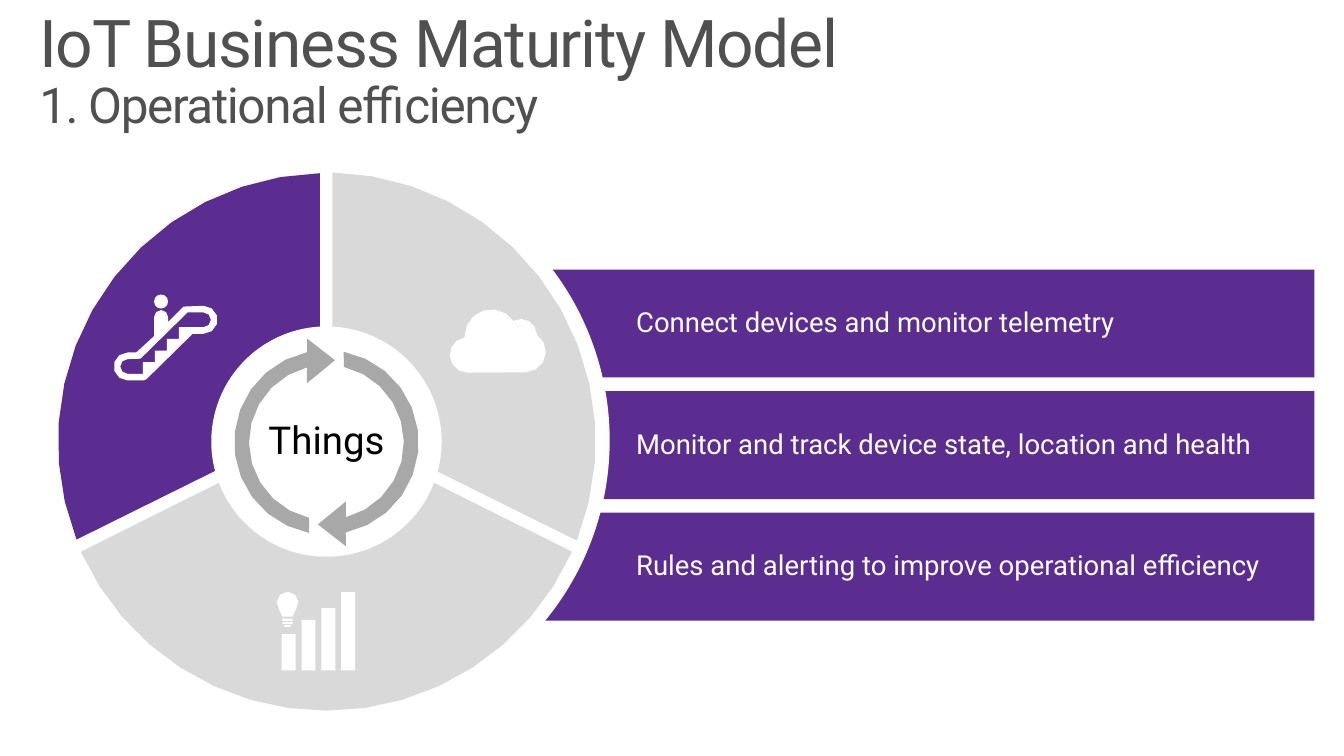
import math

import pptx
import pptx.dml.color
import pptx.enum.shapes
import pptx.enum.text
import pptx.util

Cm = pptx.util.Cm
SHAPE = pptx.enum.shapes.MSO_SHAPE
ANCHOR = pptx.enum.text.MSO_ANCHOR
ALIGN = pptx.enum.text.PP_ALIGN

COLORS = {
    "white": "FFFFFF",
    "black": "000000",
    "title": "505050",
    "purple": "5C2D91",
    "segment": "D9D9D9",
    "arrow": "A8A8A8",
}
FONT = "Roboto"
BENEFITS = [
    "Connect devices and monitor telemetry",
    "Monitor and track device state, location and health",
    "Rules and alerting to improve operational efficiency",
]


def rgb(name):
    return pptx.dml.color.RGBColor.from_string(COLORS[name])


def write(shape, *lines, color="black", align=ALIGN.LEFT, anchor=ANCHOR.MIDDLE,
          insets=(0.25, 0.13, 0.25, 0.13), tracking=0):
    """Fill a shape with (text, size) lines held in one paragraph."""
    frame = shape.text_frame
    frame.word_wrap = True
    frame.vertical_anchor = anchor
    frame.margin_left, frame.margin_top, frame.margin_right, frame.margin_bottom = map(Cm, insets)
    para = frame.paragraphs[0]
    para.alignment = align
    para.line_spacing = 0.9
    for number, (text, size) in enumerate(lines):
        if number:
            para.add_line_break()
        span = para.add_run()
        span.text = text
        span.font.name = FONT
        span.font.size = pptx.util.Pt(size)
        span.font.color.rgb = rgb(color)
        if tracking:
            span._r.get_or_add_rPr().set("spc", str(tracking))


def paint(shape, color, outlined=False):
    shape.shadow.inherit = False
    shape.fill.solid()
    shape.fill.fore_color.rgb = rgb(color)
    if outlined:
        shape.line.color.rgb = rgb(color)
        shape.line.width = pptx.util.Pt(1)
    else:
        shape.line.fill.background()
    return shape


def add_preset(page, kind, left, top, width, height, color):
    return paint(page.shapes.add_shape(kind, Cm(left), Cm(top), Cm(width), Cm(height)), color)


def add_outline(page, left, top, contours, color, outlined=False):
    """Draw closed contours, in cm from (left, top), as one shape."""
    builder = None
    for contour in contours:
        points = [(Cm(left + x), Cm(top + y)) for x, y in contour]
        if builder is None:
            builder = page.shapes.build_freeform(*points[0], scale=1.0)
        else:
            builder.move_to(*points[0])
        builder.add_line_segments(points[1:], close=True)
    return paint(builder.convert_to_shape(), color, outlined)


def arc(x, y, radius, start, end):
    """Points along an arc (degrees clockwise from the right), within 0.02 cm of it."""
    widest = math.degrees(2 * math.acos(1 - 0.02 / radius))
    steps = math.ceil(abs(end - start) / widest)
    angles = [math.radians(start + (end - start) * i / steps) for i in range(steps + 1)]
    return [(x + radius * math.cos(a), y + radius * math.sin(a)) for a in angles]


def draw_title(page, left, top, width, height):
    box = page.shapes.add_textbox(Cm(left), Cm(top), Cm(width), Cm(height))
    write(box, ("IoT Business Maturity Model", 48), ("1. Operational efficiency", 36),
          color="title", anchor=ANCHOR.TOP, tracking=-100)


def draw_benefits(page, left, top, width, height, gap):
    bar_height = (height - gap * (len(BENEFITS) - 1)) / len(BENEFITS)
    for row, text in enumerate(BENEFITS):
        bar = add_preset(page, SHAPE.RECTANGLE, left, top + row * (bar_height + gap),
                         width, bar_height, "purple")
        write(bar, (text, 20), color="white", insets=(2.79, 0.13, 1.27, 0.13))


def draw_wheel(page, left, top, size):
    # White disc that trims the bars
    add_preset(page, SHAPE.OVAL, left, top, size, size, "white")
    x, y = left + size / 2 + 0.02, top + size / 2 + 0.03

    # Segments: start and end of the rim, then the apex under the hub
    for start, end, apex, color in [
        (158.6, 268.6, (-0.17, -0.58), "purple"),
        (-88.6, 21.4, (0.17, -0.58), "segment"),
        (24.3, 155.7, (0, -0.3), "segment"),
    ]:
        add_outline(page, x, y, [arc(0, 0, 6.9, start, end) + [apex]], color,
                    outlined=color == "segment")

    # Hub with a ring of two arrows, the second being the first turned half way
    add_preset(page, SHAPE.OVAL, x - 2.96, y - 2.96, 5.92, 5.92, "white")
    arrow = (arc(0, 0, 2.37, -79.2, 77.9) + [(0.5, 2.67), (-0.22, 2.11), (0.5, 1.52)]
             + arc(0, 0, 1.99, 75.4, -77))
    turned = [(-across, -down) for across, down in arrow]
    add_outline(page, x, y + 0.02, [arrow, turned], "arrow")
    label = page.shapes.add_textbox(Cm(x - 2.95), Cm(y - 0.58), Cm(5.9), Cm(1.17))
    write(label, ("Things", 28), align=ALIGN.CENTER, insets=(0.51, 0.41, 0.51, 0.41))


def draw_escalator(page, left, top):
    body = (arc(2.31, 0.65, 0.36, -90, 90) + [(2.03, 1.01), (0.84, 2.18), (0.76, 2.21)]
            + arc(0.36, 1.85, 0.36, 90, 270) + [(0.58, 1.49), (1.04, 1.07)]
            + arc(1.22, 0.58, 0.18, 180, 360) + [(1.4, 0.71), (1.8, 0.31)])
    stairs = [(1.68 - 0.31 * step, 0.84 + 0.3 * (step + edge))
              for step in range(4) for edge in (0, 1)]
    opening = (arc(2.31, 0.65, 0.19, -90, 90) + stairs
               + arc(0.36, 1.85, 0.19, 90, 270) + [(0.69, 1.65), (1.9, 0.46)])
    add_outline(page, left, top, [body, opening], "white")
    add_preset(page, SHAPE.OVAL, left + 1.04, top, 0.36, 0.36, "white")


def draw_cloud(page, left, top):
    cloud = (arc(1.07, 0.69, 0.69, 180, 327) + arc(1.83, 0.66, 0.41, 245, 356)
             + arc(1.94, 1.09, 0.53, 303, 450) + arc(0.46, 1.17, 0.46, 90, 260))
    add_outline(page, left, top, [cloud], "white")


def draw_insight(page, left, top):
    # Rising columns
    for column, height in enumerate([0.93, 1.3, 1.6, 2.01]):
        add_preset(page, SHAPE.RECTANGLE, left + 0.13 + 0.51 * column, top + 2.02 - height,
                   0.36, height, "white")
    # Light bulb with its screw base
    glass = arc(0.28, 0.28, 0.28, 140, 400) + [(0.41, 0.64), (0.15, 0.64)]
    base = [[(0.28 - half, upper), (0.28 + half, upper), (0.28 + half, lower), (0.28 - half, lower)]
            for half, upper, lower in [(0.13, 0.69, 0.75), (0.13, 0.78, 0.83), (0.08, 0.86, 0.9)]]
    add_outline(page, left, top, [glass] + base, "white")


def main():
    deck = pptx.Presentation()
    deck.slide_width, deck.slide_height = Cm(34.54), Cm(19.43)
    page = deck.slides.add_slide(deck.slide_layouts[6])
    draw_title(page, 0.76, 0.13, 33.02, 3.5)
    draw_benefits(page, 13.56, 6.93, 20.22, 9.02, 0.35)
    draw_wheel(page, 1.07, 4.02, 14.6)
    draw_insight(page, 7.11, 15.21)
    draw_cloud(page, 11.56, 7.95)
    draw_escalator(page, 2.92, 7.57)
    deck.save("out.pptx")


if __name__ == "__main__":
    main()
